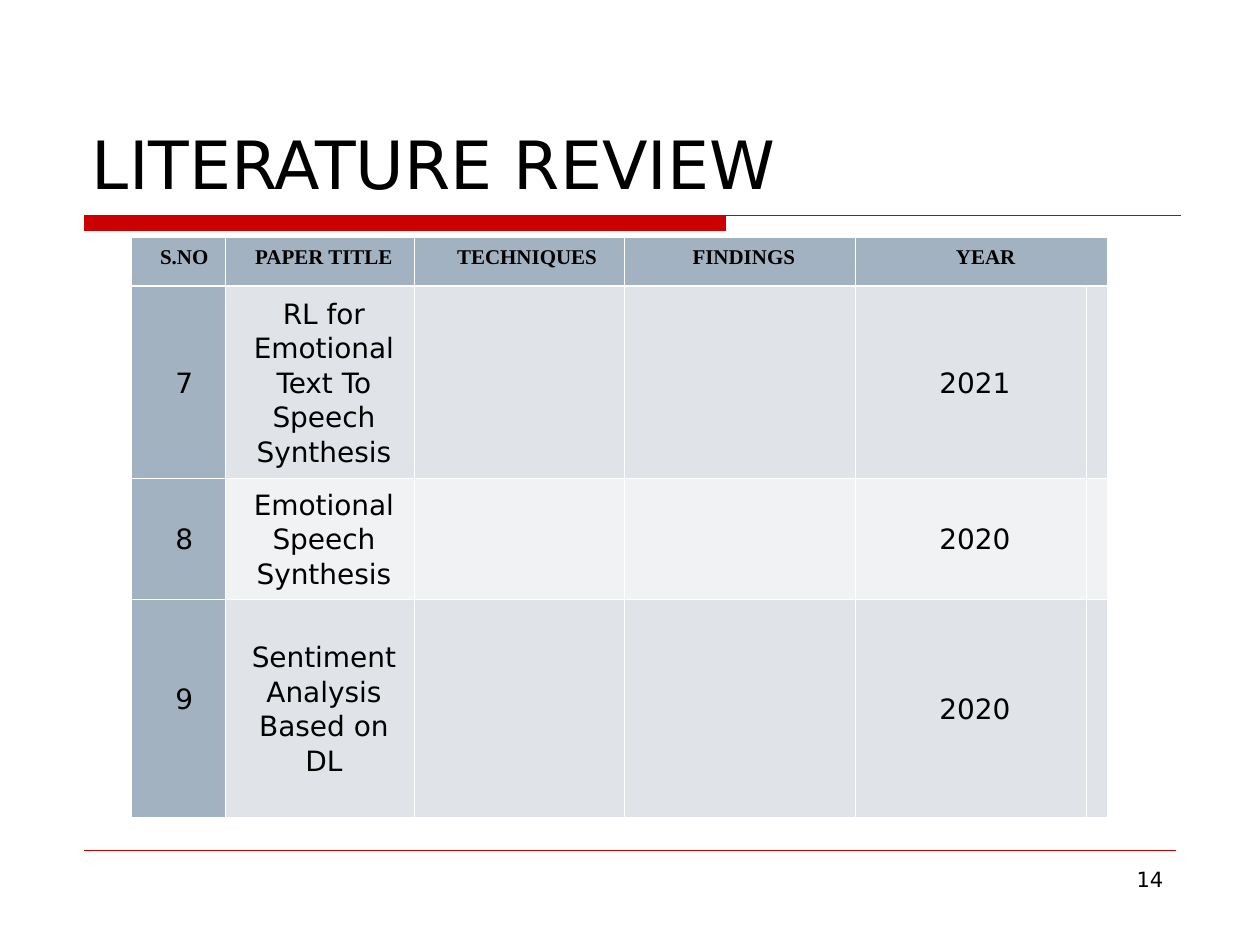
from lxml import etree
from pptx import Presentation
from pptx import util as u
from pptx.dml.color import RGBColor
from pptx.enum import shapes, text
from pptx.oxml import ns

TITLE = "LITERATURE REVIEW"
PAGE_NUMBER = "14"
HEADINGS = ["S.NO", "PAPER TITLE", "TECHNIQUES", "FINDINGS", "YEAR", ""]
PAPERS = [
    ["7", "RL for Emotional Text To Speech Synthesis", "", "", "2021", ""],
    ["8", "Emotional Speech Synthesis", "", "", "2020", ""],
    ["9", "Sentiment Analysis Based on DL", "", "", "2020", ""],
]
COLUMN_WIDTHS = [1.9, 3.81, 4.23, 4.66, 4.66, 0.42]
ROW_HEIGHTS = [0.98, 3.73, 2.3, 4.4]
HEADING_INDENTS = {0: 0.08, 2: 0.15}

SANS, SERIF = "DejaVu Sans", "Times New Roman"
BLACK = RGBColor(0x00, 0x00, 0x00)
WHITE = RGBColor(0xFF, 0xFF, 0xFF)
RED = RGBColor(0xCC, 0x00, 0x00)
SLATE = RGBColor(0xA3, 0xB2, 0xC1)
BANDS = [RGBColor(0xE0, 0xE4, 0xE9), RGBColor(0xF0, 0xF2, 0xF4)]
THIN, THICK = 0.45, 1.47


def write(frame, words, size=16, font=SANS, bold=False,
          align=text.PP_ALIGN.CENTER, spacing=None, indent=0):
    paragraph = frame.paragraphs[0]
    paragraph.alignment = align
    if spacing:
        paragraph.line_spacing = spacing
    if indent:
        properties = paragraph._p.get_or_add_pPr()
        properties.set("marL", str(u.Cm(indent)))
        properties.set("indent", "0")
    run = paragraph.add_run()
    run.text = words
    run.font.size = u.Pt(size)
    run.font.name = font
    run.font.bold = bold
    run.font.color.rgb = BLACK


def add_borders(cell, **widths):
    properties = cell._tc.get_or_add_tcPr()
    for place, side in enumerate("LRTB"):
        border = etree.Element(ns.qn(f"a:ln{side}"), w=str(u.Pt(widths.get(side, THIN))))
        fill = etree.SubElement(border, ns.qn("a:solidFill"))
        etree.SubElement(fill, ns.qn("a:srgbClr"), val=str(WHITE))
        properties.insert(place, border)


def add_title_rule(slide):
    left, top, right, bar_right, bar_bottom = map(u.Cm, (1.7, 4.34, 23.8, 14.63, 4.65))
    builder = slide.shapes.build_freeform(left, top)
    builder.add_line_segments([(bar_right, top), (bar_right, bar_bottom), (left, bar_bottom)])
    builder.move_to(left, top)
    builder.add_line_segments([(right, top)], close=False)
    rule = builder.convert_to_shape()
    rule.shadow.inherit = False
    rule.fill.solid()
    rule.fill.fore_color.rgb = RED
    rule.line.color.rgb = RED
    rule.line.width = u.Pt(0.75)


def add_footer(slide):
    rule = slide.shapes.add_connector(
        shapes.MSO_CONNECTOR.STRAIGHT, u.Cm(1.7), u.Cm(17.15), u.Cm(23.7), u.Cm(17.15))
    rule.line.color.rgb = RED
    rule.line.width = u.Pt(0.25)
    etree.SubElement(rule._element.spPr, ns.qn("a:effectLst"))
    number = slide.shapes.add_textbox(u.Cm(18.2), u.Cm(17.35), u.Cm(5.5), u.Cm(1.32))
    number.text_frame.word_wrap = True
    write(number.text_frame, PAGE_NUMBER, size=12, align=text.PP_ALIGN.RIGHT)


def add_review(slide):
    rows = [HEADINGS] + PAPERS
    table = slide.shapes.add_table(
        len(rows), len(HEADINGS), u.Cm(2.64), u.Cm(4.79),
        u.Cm(sum(COLUMN_WIDTHS)), u.Cm(sum(ROW_HEIGHTS))).table
    for column, width in zip(table.columns, COLUMN_WIDTHS):
        column.width = u.Cm(width)
    for row, height in zip(table.rows, ROW_HEIGHTS):
        row.height = u.Cm(height)

    for r, row in enumerate(rows):
        for c, words in enumerate(row):
            cell = table.cell(r, c)
            heading = r == 0
            cell.margin_left, cell.margin_right = u.Cm(0.25), u.Cm(0.08)
            cell.margin_top = cell.margin_bottom = u.Cm(0.13)
            cell.vertical_anchor = text.MSO_ANCHOR.TOP if heading else text.MSO_ANCHOR.MIDDLE
            cell.fill.solid()
            cell.fill.fore_color.rgb = SLATE if heading or c == 0 else BANDS[(r - 1) % 2]
            add_borders(cell, T=THICK if r == 1 else THIN, B=THICK if heading else THIN)
            if words:
                indent = HEADING_INDENTS.get(c, 0) if heading or c == 0 else 0
                look = dict(size=12, font=SERIF, bold=True) if heading else {}
                write(cell.text_frame, words, spacing=1.07, indent=indent, **look)
    table.cell(len(PAPERS), 0).margin_bottom = u.Cm(0.53)
    year = HEADINGS.index("YEAR")
    table.cell(0, year).merge(table.cell(0, year + 1))


def main():
    deck = Presentation()
    deck.slide_width, deck.slide_height = u.Cm(25.4), u.Cm(19.05)
    slide = deck.slides.add_slide(deck.slide_layouts[5])
    add_title_rule(slide)
    add_footer(slide)
    add_review(slide)
    title = slide.shapes.title
    title.left, title.top, title.width, title.height = map(u.Cm, (1.6, 0.84, 22.22, 3.38))
    title.text_frame.vertical_anchor = text.MSO_ANCHOR.BOTTOM
    write(title.text_frame, TITLE, size=38, align=text.PP_ALIGN.LEFT)
    deck.save("out.pptx")


if __name__ == "__main__":
    main()
